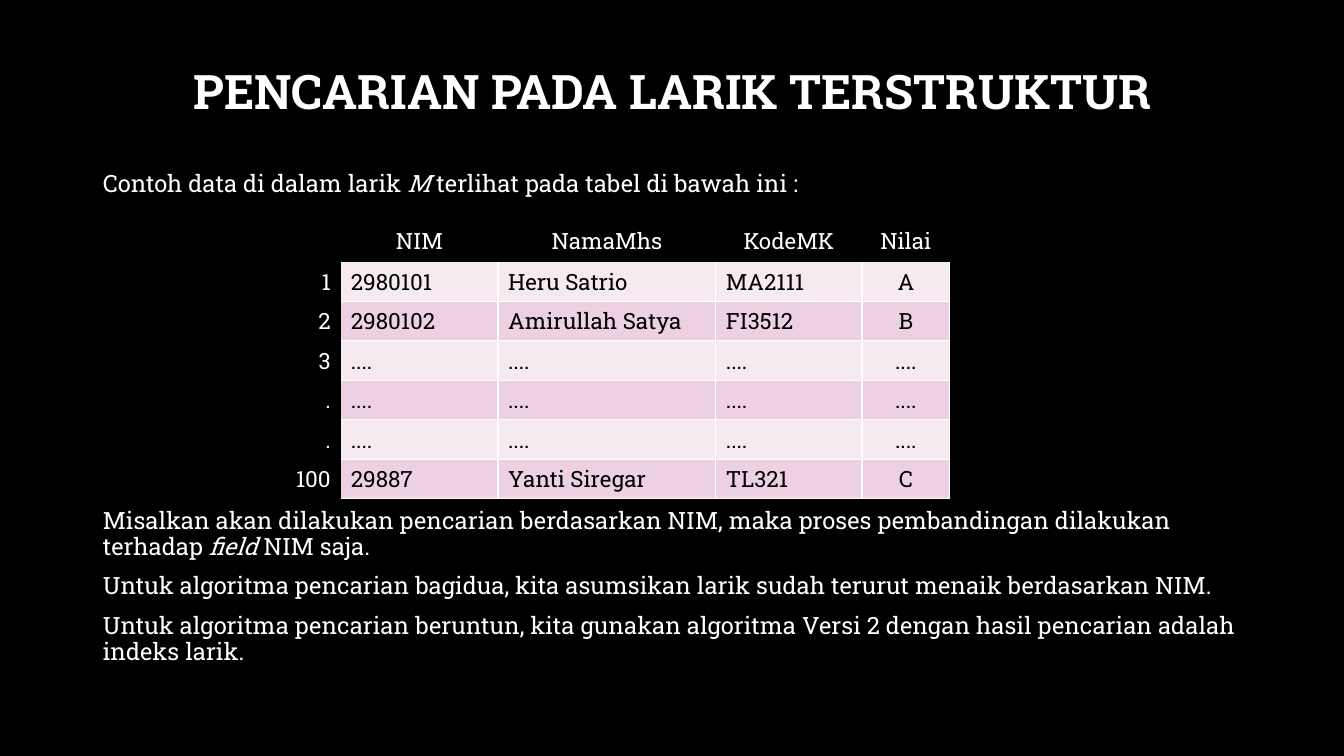
"""Builds the slide about searching in a structured array."""
from dataclasses import dataclass

from lxml import etree
from pptx import Presentation
from pptx import util as u
from pptx.dml.color import RGBColor
from pptx.enum import text
from pptx.oxml import ns


@dataclass(frozen=True)
class Theme:
    font: str = "Roboto Slab"
    background: str = "000000"
    light: str = "FFFFFF"
    dark: str = "000000"
    bands: tuple = ("F6EAF1", "EDD1E2")
    title_size: int = 34
    body_size: int = 17
    table_size: int = 16


def add_run(paragraph, words, size, color, bold=False, italic=False):
    run = paragraph.add_run()
    run.text = words
    run.font.name = theme.font
    run.font.size = u.Pt(size)
    run.font.bold = bold
    run.font.italic = italic
    run.font.color.rgb = RGBColor.from_string(color)


def set_borders(cell, visible_sides):
    properties = cell._tc.get_or_add_tcPr()
    for position, side in enumerate("LRTB"):
        line = etree.Element(ns.qn(f"a:ln{side}"), w=str(u.Pt(1)))
        if side in visible_sides:
            fill = etree.SubElement(line, ns.qn("a:solidFill"))
            etree.SubElement(fill, ns.qn("a:srgbClr"), val=theme.light)
        else:
            etree.SubElement(line, ns.qn("a:noFill"))
        properties.insert(position, line)


theme = Theme()
align = text.PP_ALIGN
presentation = Presentation()
presentation.slide_width = u.Inches(13.33)
presentation.slide_height = u.Inches(7.5)
slide = presentation.slides.add_slide(presentation.slide_layouts[1])
slide.background.fill.solid()
slide.background.fill.fore_color.rgb = RGBColor.from_string(theme.background)

title, body = slide.placeholders
boxes = (
    (title, (1.01, 0.21, 11.32, 1.45), text.MSO_ANCHOR.MIDDLE),
    (body, (0.92, 1.66, 11.5, 5.49), text.MSO_ANCHOR.TOP),
)
for shape, box, anchor in boxes:
    shape.left, shape.top, shape.width, shape.height = map(u.Inches, box)
    shape.text_frame.word_wrap = True
    shape.text_frame.auto_size = text.MSO_AUTO_SIZE.NONE
    shape.text_frame.vertical_anchor = anchor

paragraph = title.text_frame.paragraphs[0]
paragraph.alignment = align.CENTER
paragraph.line_spacing = 0.9
add_run(paragraph, "PENCARIAN PADA LARIK TERSTRUKTUR", theme.title_size, theme.light, bold=True)

paragraph_gap, table_gap = 10, 222
body_paragraphs = (
    (paragraph_gap, ("Contoh data di dalam larik ", "M ", "terlihat pada tabel di bawah ini :")),
    (table_gap, (
        "Misalkan akan dilakukan pencarian berdasarkan NIM, maka proses pembandingan dilakukan terhadap ",
        "field ", "NIM saja.")),
    (paragraph_gap, (
        "Untuk algoritma pencarian bagidua, kita asumsikan larik sudah terurut menaik berdasarkan NIM.",)),
    (paragraph_gap, (
        "Untuk algoritma pencarian beruntun, kita gunakan algoritma Versi 2 "
        "dengan hasil pencarian adalah indeks larik.",)),
)
for index, (gap, pieces) in enumerate(body_paragraphs):
    frame = body.text_frame
    paragraph = frame.add_paragraph() if index else frame.paragraphs[0]
    paragraph.alignment = align.LEFT
    paragraph.line_spacing = 0.9
    paragraph.space_before = u.Pt(gap)
    properties = paragraph._p.get_or_add_pPr()
    properties.set("marL", "0")
    properties.set("indent", "0")
    etree.SubElement(properties, ns.qn("a:buNone"))
    for order, piece in enumerate(pieces):
        add_run(paragraph, piece, theme.body_size, theme.light, italic=order == 1)

dots = ("....",) * 4
records = (
    ("", "NIM", "NamaMhs", "KodeMK", "Nilai"),
    ("1", "2980101", "Heru Satrio", "MA2111", "A"),
    ("2", "2980102", "Amirullah Satya", "FI3512", "B"),
    ("3", *dots),
    (".", *dots),
    (".", *dots),
    ("100", "29887", "Yanti Siregar", "TL321", "C"),
)
column_widths = (0.68, 1.56, 2.16, 1.45, 0.87)
column_alignments = (align.RIGHT, align.LEFT, align.LEFT, align.LEFT, align.CENTER)
row_height = 0.39
table = slide.shapes.add_table(
    len(records), len(column_widths), u.Inches(2.7), u.Inches(2.19),
    u.Inches(sum(column_widths)), u.Inches(row_height * len(records))).table
table.first_row = table.horz_banding = False
for column, width in zip(table.columns, column_widths):
    column.width = u.Inches(width)

for row, record in enumerate(records):
    table.rows[row].height = u.Inches(row_height)
    for column, words in enumerate(record):
        cell = table.cell(row, column)
        cell.vertical_anchor = text.MSO_ANCHOR.MIDDLE
        is_data = row > 0 and column > 0
        if is_data:
            cell.fill.solid()
            cell.fill.fore_color.rgb = RGBColor.from_string(theme.bands[(row - 1) % 2])
            set_borders(cell, "RB" + "L" * (column > 1) + "T" * (row > 1))
        else:
            cell.fill.background()
            set_borders(cell, "")
        paragraph = cell.text_frame.paragraphs[0]
        paragraph.alignment = column_alignments[column] if row else align.CENTER
        if words:
            add_run(paragraph, words, theme.table_size, theme.dark if is_data else theme.light)

presentation.save("out.pptx")
